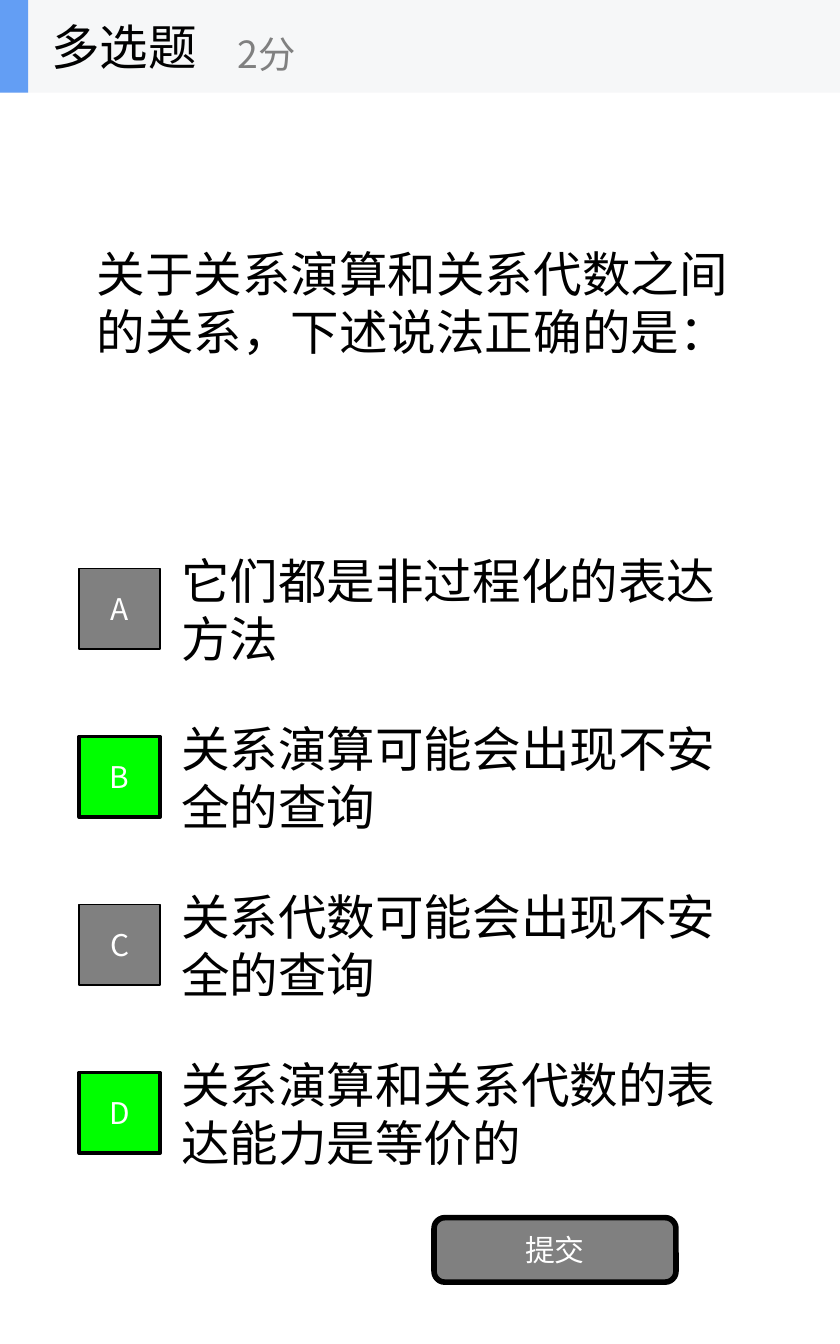
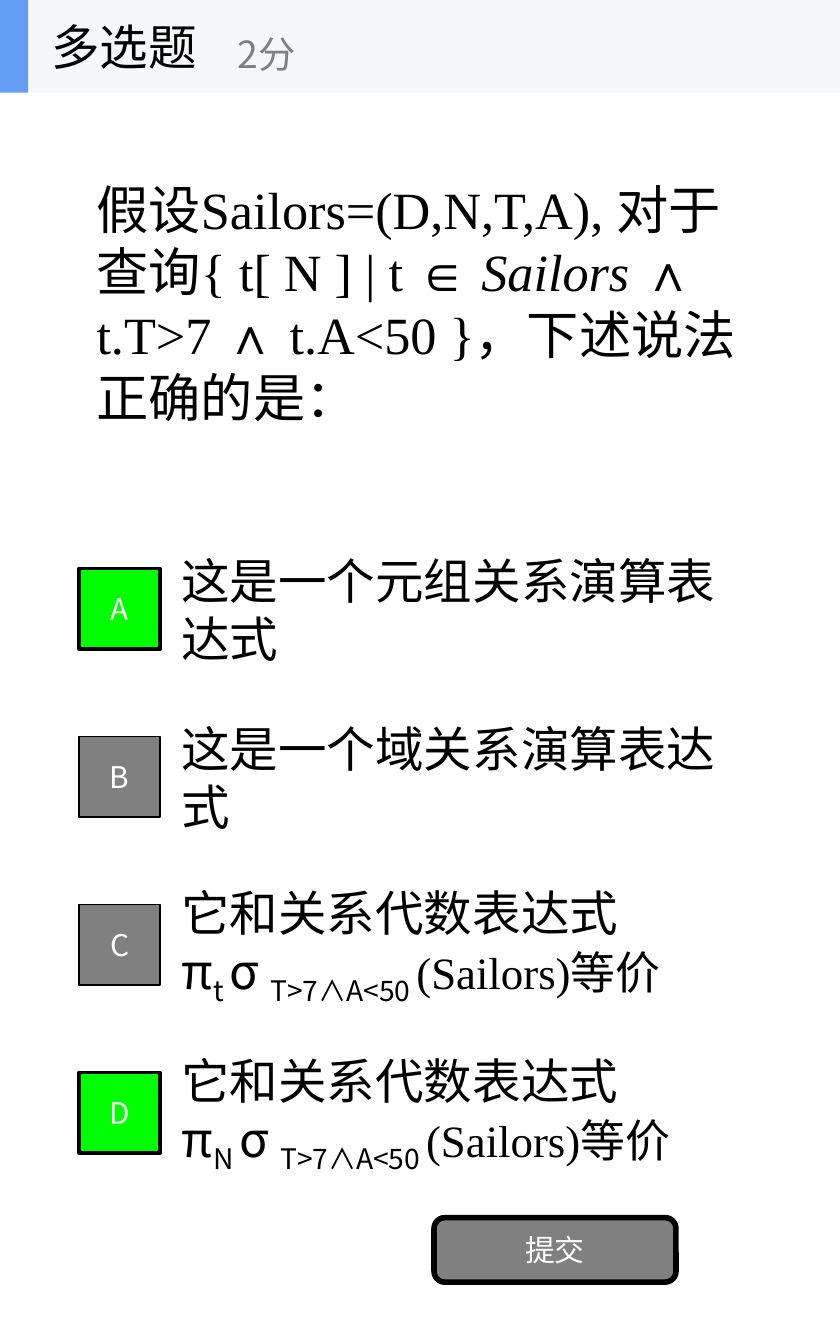
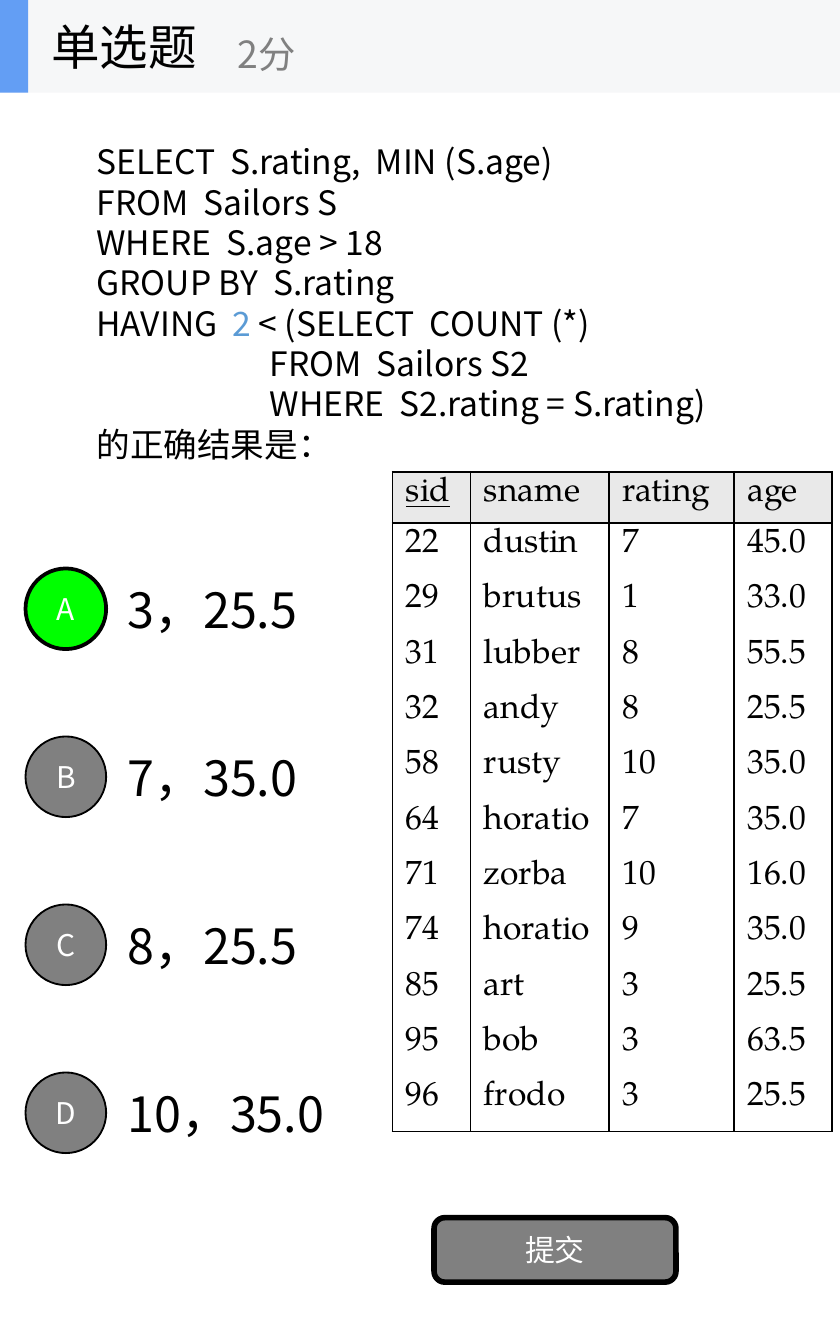
from dataclasses import dataclass
from typing import Optional

from lxml.etree import SubElement
from pptx import Presentation
from pptx.dml.color import RGBColor
from pptx.enum.shapes import MSO_SHAPE as Preset
from pptx.enum.text import MSO_ANCHOR as Anchor, MSO_AUTO_SIZE as AutoSize, PP_ALIGN as Align
from pptx.oxml.ns import qn
from pptx.util import Inches, Pt

BLACK = RGBColor(0x00, 0x00, 0x00)
WHITE = RGBColor(0xFF, 0xFF, 0xFF)
GRAY = RGBColor(0x80, 0x80, 0x80)
CORRECT_GREEN = RGBColor(0x00, 0xFF, 0x00)
BAND_GRAY = RGBColor(0xF6, 0xF7, 0xF8)
ACCENT_BLUE = RGBColor(0x63, 0x9E, 0xF4)
NUMBER_BLUE = RGBColor(0x5B, 0x9B, 0xD5)
HEADER_GRAY = RGBColor(0xE9, 0xE9, 0xE9)

SANS = "Noto Sans CJK SC"
SERIF = "Times New Roman"
TABLE_FONT = "TeX Gyre Pagella"

PAGE_WIDTH, PAGE_HEIGHT = 6.25, 10
BAND_HEIGHT = 0.69
OPTION_TOP, OPTION_STEP = 4.06, 1.25
BADGE_SIZE = 0.6


@dataclass
class Run:
    text: str
    size: float = 26
    font: str = SANS
    color: RGBColor = BLACK
    italic: bool = False
    underline: bool = False
    subscript: bool = False


Paragraphs = list[list[Run]]


@dataclass
class Question:
    kind: str
    prompt: Paragraphs
    options: list[Paragraphs]
    correct: str
    badge: Preset = Preset.RECTANGLE
    badge_left: float = 0.59
    table: Optional[list[list[str]]] = None


# Text and shape helpers
def write_text(frame, paragraphs: Paragraphs, align: Align = Align.LEFT,
               anchor: Anchor = Anchor.MIDDLE) -> None:
    for index, runs in enumerate(paragraphs):
        para = frame.paragraphs[0] if index == 0 else frame.add_paragraph()
        para.alignment = align
        for run in runs:
            span = para.add_run()
            span.text = run.text
            formats = {"size": Pt(run.size), "name": run.font, "bold": False,
                       "italic": run.italic, "underline": run.underline}
            for name, value in formats.items():
                setattr(span.font, name, value)
            span.font.color.rgb = run.color
            properties = span._r.get_or_add_rPr()
            SubElement(properties, qn("a:ea")).set("typeface", SANS)
            if run.subscript:
                properties.set("baseline", "-25000")
    frame.word_wrap = True
    frame.vertical_anchor = anchor


def add_text(page, left: float, top: float, width: float, height: float,
             paragraphs: Paragraphs) -> None:
    box = page.shapes.add_textbox(Inches(left), Inches(top), Inches(width), Inches(height))
    write_text(box.text_frame, paragraphs)


def add_block(page, preset: Preset, left: float, top: float, width: float, height: float,
              fill: RGBColor, line_width: float = 0, label: str = "") -> None:
    shape = page.shapes.add_shape(preset, Inches(left), Inches(top), Inches(width), Inches(height))
    shape.shadow.inherit = False
    shape.fill.solid()
    shape.fill.fore_color.rgb = fill
    if line_width:
        shape.line.color.rgb = BLACK
        shape.line.width = Pt(line_width)
    else:
        shape.line.fill.background()
    if label:
        write_text(shape.text_frame, [[Run(label, 16, color=WHITE)]], Align.CENTER)


# Slide parts
def add_header(page, kind: str) -> None:
    add_block(page, Preset.RECTANGLE, 0, 0, PAGE_WIDTH, BAND_HEIGHT, BAND_GRAY)
    add_block(page, Preset.RECTANGLE, 0, 0, 0.21, BAND_HEIGHT, ACCENT_BLUE)
    title = page.shapes.title
    place = {"left": 0.28, "top": 0, "width": 2.08, "height": BAND_HEIGHT}
    for name, value in place.items():
        setattr(title, name, Inches(value))
    write_text(title.text_frame, [[Run(kind)]])
    title.text_frame.auto_size = AutoSize.NONE
    page.shapes._spTree.append(title._element)  # lift the title above the band
    add_text(page, 1.67, 0.12, 2.5, 0.56, [[Run("2分", 20, color=GRAY)]])


def add_options(page, question: Question) -> None:
    for index, (letter, option) in enumerate(zip("ABCD", question.options)):
        top = OPTION_TOP + index * OPTION_STEP
        right = letter in question.correct
        add_text(page, question.badge_left + 0.66, top, 4.38, 0.94, option)
        add_block(page, question.badge, question.badge_left, top + 0.17, BADGE_SIZE, BADGE_SIZE,
                  CORRECT_GREEN if right else GRAY, 2 if right else 1, letter)


def set_borders(cell, drawn: str) -> None:
    properties = cell._tc.get_or_add_tcPr()
    for side in "LRTB":
        line = SubElement(properties, qn(f"a:ln{side}"), w=str(Pt(1)))
        if side in drawn:
            fill = SubElement(line, qn("a:solidFill"))
            SubElement(fill, qn("a:srgbClr")).set("val", str(BLACK))
        else:
            SubElement(line, qn("a:noFill"))


def add_sailors_table(page, rows: list[list[str]]) -> None:
    widths = [0.58, 1.03, 0.93, 0.73]
    header_height, body_height = 0.33, 4.53
    frame = page.shapes.add_table(len(rows), len(widths), Inches(2.92), Inches(3.51),
                                  Inches(sum(widths)), Inches(header_height + body_height))
    table = frame.table
    table.first_row = table.horz_banding = False
    for column, width in zip(table.columns, widths):
        column.width = Inches(width)
    last = len(rows) - 1
    margins = {"margin_left": 0.1, "margin_right": 0.1, "margin_top": 0.04, "margin_bottom": 0.04}
    for i, values in enumerate(rows):
        table.rows[i].height = Inches(body_height / last if i else header_height)
        borders = {0: "LRTB", 1: "LRT", last: "LRB"}.get(i, "LR")
        for j, value in enumerate(values):
            cell = table.cell(i, j)
            set_borders(cell, borders)
            if i == 0:
                cell.fill.solid()
                cell.fill.fore_color.rgb = HEADER_GRAY
            else:
                cell.fill.background()
            for name, margin in margins.items():
                setattr(cell, name, Inches(margin))
            write_text(cell.text_frame, [[Run(value, 18, TABLE_FONT, underline=value == "sid")]],
                       anchor=Anchor.TOP)


def add_question(deck, question: Question) -> None:
    page = deck.slides.add_slide(deck.slide_layouts[5])
    add_text(page, 0.62, BAND_HEIGHT, 5, 3.12, question.prompt)
    add_options(page, question)
    add_block(page, Preset.ROUNDED_RECTANGLE, 3.23, 9.06, 1.8, 0.48, GRAY, 3, "提交")
    if question.table:
        add_sailors_table(page, question.table)
    add_header(page, question.kind)


# Content
def plain(text: str, size: float = 26) -> Paragraphs:
    return [[Run(line, size)] for line in text.split("\n")]


def algebra_option(attribute: str) -> Paragraphs:
    return [[Run("它和关系代数表达式")],
            [Run("π"), Run(f"{attribute} ", subscript=True), Run("σ"), Run(" ", 24, SERIF),
             Run("T>7∧A<50 ", subscript=True), Run("(Sailors)等价", 24, SERIF)]]


TUPLE_PROMPT = [[
    Run("假设Sailors=(D,N,T,A), 对于查询{ t[ N ] | t ∈ ", 28, SERIF),
    Run("Sailors ", 28, SERIF, italic=True),
    Run("∧ t.T>7 ∧ t.A<50 }，下述说法正确的是：", 28, SERIF),
]]

SQL_PROMPT = [
    *plain("SELECT  S.rating,  MIN (S.age)\nFROM  Sailors S\nWHERE  S.age > 18\n"
           "GROUP BY  S.rating", 18),
    [Run("HAVING  ", 18), Run("2", 18, color=NUMBER_BLUE), Run(" < (SELECT  COUNT (*)", 18)],
    *plain("                       FROM  Sailors S2\n"
           "                       WHERE  S2.rating = S.rating)\n的正确结果是：", 18),
]

SAILORS = [line.split() for line in """\
sid sname rating age
22 dustin 7 45.0
29 brutus 1 33.0
31 lubber 8 55.5
32 andy 8 25.5
58 rusty 10 35.0
64 horatio 7 35.0
71 zorba 10 16.0
74 horatio 9 35.0
85 art 3 25.5
95 bob 3 63.5
96 frodo 3 25.5""".splitlines()]

QUESTIONS = [
    Question("多选题", plain("关于关系演算和关系代数之间的关系，下述说法正确的是："),
             [plain("它们都是非过程化的表达方法"), plain("关系演算可能会出现不安全的查询"),
              plain("关系代数可能会出现不安全的查询"), plain("关系演算和关系代数的表达能力是等价的")],
             correct="BD"),
    Question("多选题", TUPLE_PROMPT,
             [plain("这是一个元组关系演算表达式"), plain("这是一个域关系演算表达式"),
              algebra_option("t"), algebra_option("N")],
             correct="AD"),
    Question("单选题", SQL_PROMPT,
             [plain("3，25.5"), plain("7，35.0"), plain("8，25.5"), plain("10，35.0")],
             correct="A", badge=Preset.OVAL, badge_left=0.19, table=SAILORS),
]


def main() -> None:
    deck = Presentation()
    deck.slide_width, deck.slide_height = Inches(PAGE_WIDTH), Inches(PAGE_HEIGHT)
    for question in QUESTIONS:
        add_question(deck, question)
    deck.save("out.pptx")


if __name__ == "__main__":
    main()
